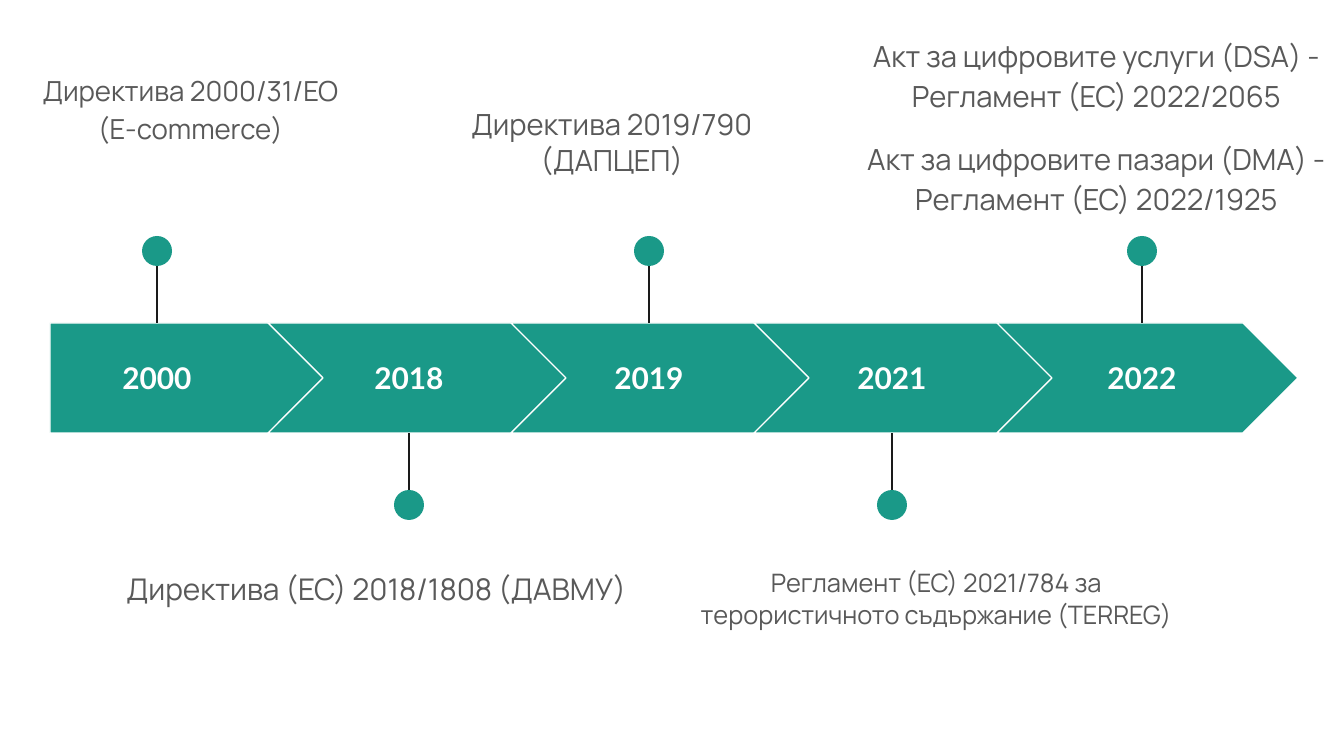
from pptx import Presentation
from pptx.dml.color import RGBColor
from pptx.enum.shapes import MSO_CONNECTOR, MSO_SHAPE
from pptx.enum.text import MSO_ANCHOR, PP_ALIGN
from pptx.oxml.ns import qn
from pptx.util import Pt
from lxml import etree

PX = 914400 / 134.4
COLORS = {"teal": "1A9988", "white": "FFFFFF", "stem": "1A1A1A", "text": "595959"}


def px(*lengths):
    return [round(length * PX) for length in lengths]


def add_text(paragraphs, box, size, font, color, bold=False, spacing=1.0,
             after=0, between=0, anchor=MSO_ANCHOR.TOP):
    frame = slide.shapes.add_textbox(*px(*box)).text_frame
    frame.word_wrap = True
    frame.vertical_anchor = anchor
    frame.margin_left = frame.margin_right = Pt(7.2)
    frame.margin_top = frame.margin_bottom = Pt(7.2)
    for i, text in enumerate(paragraphs):
        paragraph = frame.paragraphs[0] if i == 0 else frame.add_paragraph()
        paragraph.alignment = PP_ALIGN.CENTER
        paragraph.line_spacing = spacing
        if i > 0:
            paragraph.space_before = Pt(between)
        if i == len(paragraphs) - 1:
            paragraph.space_after = Pt(after)
        run = paragraph.add_run()
        run.text = text
        run.font.size = Pt(size)
        run.font.name = font
        run.font.bold = bold
        run.font.color.rgb = RGBColor.from_string(COLORS[color])


presentation = Presentation()
presentation.slide_width, presentation.slide_height = px(1344, 756)
slide = presentation.slides.add_slide(presentation.slide_layouts[6])

BAND_TOP, BAND_HEIGHT = 323, 110
BAND_BOTTOM = BAND_TOP + BAND_HEIGHT
CHEVRON_LEFT, CHEVRON_STEP, CHEVRON_WIDTH = 268, 243, 301
YEAR_WIDTH, YEAR_HEIGHT = 194, 69
DOT = 30
STEM = 72  # from the band to the centre of the dot

# Year, stem position, act box, act size, line spacing, space after, acts
milestones = [
    ("2000", 157, (9, 56, 363, 133), 14.8, 1.15, 12,
     ["Директива 2000/31/ЕО (E-commerce)"]),
    ("2018", 409, (81, 552, 591, 133), 16, 1.15, 16,
     ["Директива (ЕС) 2018/1808 (ДАВМУ)"]),
    ("2019", 649, (395, 91, 434, 99), 15.6, 1.05, 12,
     ["Директива 2019/790 (ДАПЦЕП)"]),
    ("2021", 892, (664, 552, 544, 133), 13.6, 1.05, 12,
     ["Регламент (ЕС) 2021/784 за терористичното съдържание (TERREG)"]),
    ("2022", 1142, (849, 20, 495, 207), 15.6, 1.15, 12,
     ["Акт за цифровите услуги (DSA) - Регламент (ЕС) 2022/2065",
      "Акт за цифровите пазари (DMA) - Регламент (ЕС) 2022/1925"]),
]

for i, (year, center, act_box, size, spacing, after, acts) in enumerate(milestones):
    # Arrow segment of the timeline
    if i == 0:
        kind, left, width = MSO_SHAPE.PENTAGON, 50, 276
    else:
        kind, width = MSO_SHAPE.CHEVRON, CHEVRON_WIDTH
        left = CHEVRON_LEFT + (i - 1) * CHEVRON_STEP
    segment = slide.shapes.add_shape(kind, *px(left, BAND_TOP, width, BAND_HEIGHT))
    segment.adjustments[0] = 0.5
    segment.shadow.inherit = False
    segment.fill.solid()
    segment.fill.fore_color.rgb = RGBColor.from_string(COLORS["teal"])
    segment.line.color.rgb = RGBColor.from_string(COLORS["white"])
    segment.line.width = Pt(0.75)

    # Year
    year_box = (center - YEAR_WIDTH / 2, BAND_TOP + (BAND_HEIGHT - YEAR_HEIGHT) / 2,
                YEAR_WIDTH, YEAR_HEIGHT)
    add_text([year], year_box, 16, "Lato", "white", bold=True, anchor=MSO_ANCHOR.MIDDLE)

    # Marker: stem and dot, alternating above and below the band
    above = i % 2 == 0
    stem_start = BAND_TOP if above else BAND_BOTTOM
    dot_center = stem_start - STEM if above else stem_start + STEM
    marker = slide.shapes.add_group_shape()
    stem = marker.shapes.add_connector(
        MSO_CONNECTOR.STRAIGHT, *px(center, dot_center, center, stem_start))
    stem.line.color.rgb = RGBColor.from_string(COLORS["stem"])
    stem.line.width = Pt(0.75)
    etree.SubElement(stem._element.spPr, qn("a:effectLst"))
    dot = marker.shapes.add_shape(
        MSO_SHAPE.OVAL, *px(center - DOT / 2, dot_center - DOT / 2, DOT, DOT))
    dot.shadow.inherit = False
    dot.fill.solid()
    dot.fill.fore_color.rgb = RGBColor.from_string(COLORS["teal"])
    dot.line.fill.background()

    # Legal acts of the year
    add_text(acts, act_box, size, "Manrope", "text",
             spacing=spacing, after=after, between=12)

presentation.save("out.pptx")
